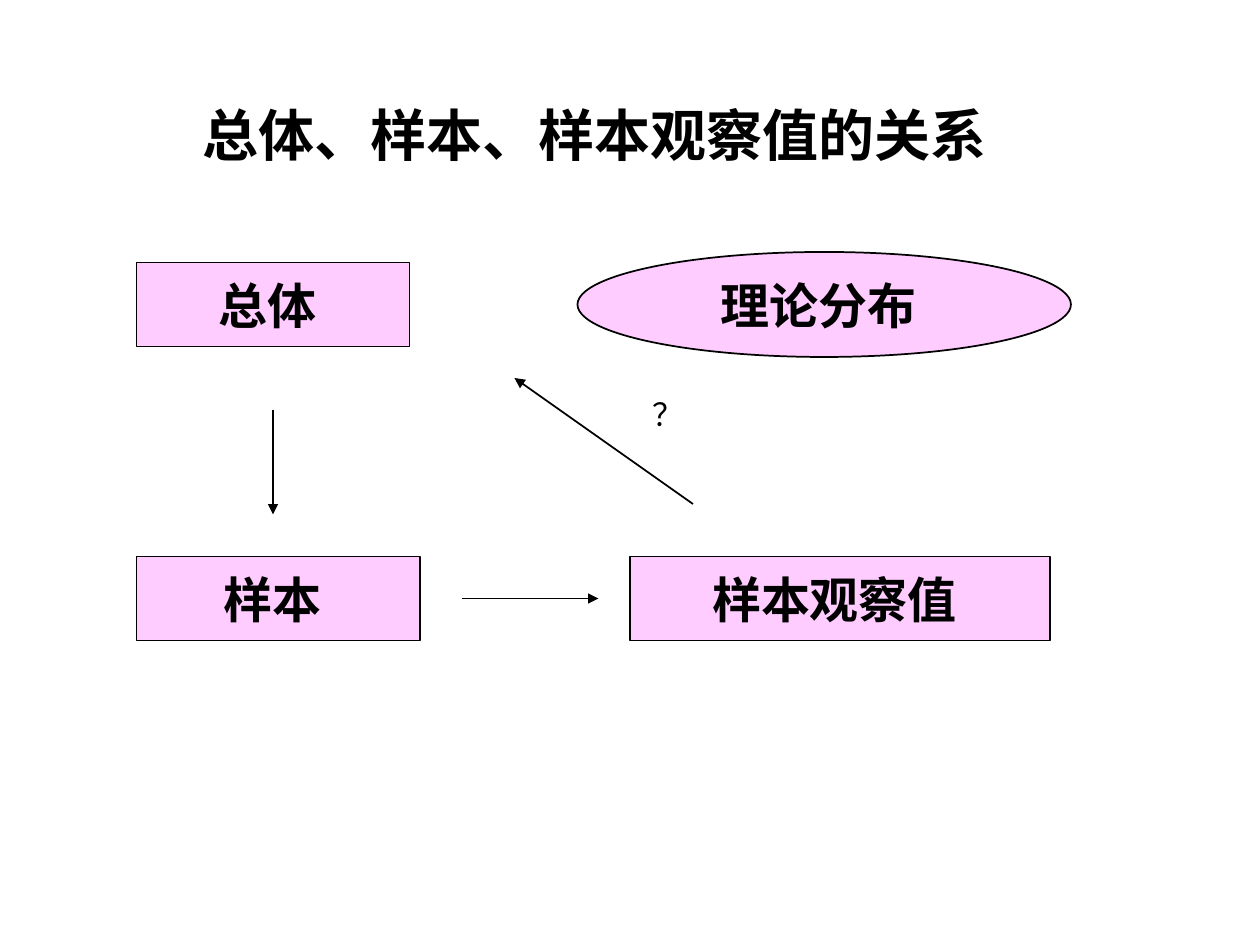
import pptx
import pptx.dml.color
import pptx.enum.shapes
import pptx.enum.text
import pptx.oxml.ns
import pptx.util
import lxml.etree

BLACK = pptx.dml.color.RGBColor(0x00, 0x00, 0x00)
PINK = pptx.dml.color.RGBColor(0xFF, 0xCC, 0xFF)
LATIN_FONT = "Times New Roman"
CHINESE_FONT = "Noto Sans CJK SC"

SLIDE_WIDTH = pptx.util.Inches(10)
SLIDE_HEIGHT = pptx.util.Inches(7.5)
COLUMNS = 120
CELL = SLIDE_WIDTH / COLUMNS

ALIGN = pptx.enum.text.PP_ALIGN
ANCHOR = pptx.enum.text.MSO_ANCHOR
SHAPE = pptx.enum.shapes.MSO_SHAPE

TITLE_BOX = (18.1, 9, 77.2, 7.7)
DIAGRAM_ORIGIN = (13, 24)

# Columns and rows counted from the diagram's top left corner.
NODES = [
    (SHAPE.RECTANGLE, (0, 1, 26, 8), "总体 "),
    (SHAPE.OVAL, (42, 0, 47, 10), "理论分布 "),
    (SHAPE.RECTANGLE, (0, 29, 27, 8), "样本 "),
    (SHAPE.RECTANGLE, (47, 29, 40, 8), "样本观察值 "),
]
ARROWS = [
    (13, 15, 13, 25),
    (31, 33, 44, 33),
    (53, 24, 36, 12),
]
QUESTION_BOX = (48, 13, 6, 6)


def cells(*counts):
    return [round(count * CELL) for count in counts]


def placed(origin, box):
    """Turn a box relative to an origin into slide lengths."""
    left, top, width, height = box
    return cells(origin[0] + left, origin[1] + top, width, height)


def write_text(shape, text, size, bold=True, font_name=LATIN_FONT,
               alignment=ALIGN.LEFT, anchor=ANCHOR.TOP):
    frame = shape.text_frame
    frame.text = text
    frame_format = {
        "word_wrap": False,
        "auto_size": pptx.enum.text.MSO_AUTO_SIZE.NONE,
        "vertical_anchor": anchor,
    }
    for name, value in frame_format.items():
        setattr(frame, name, value)
    paragraph = frame.paragraphs[0]
    paragraph.alignment = alignment
    run = paragraph.runs[0]
    run.font.color.rgb = BLACK
    font_format = {"name": font_name, "size": pptx.util.Pt(size), "bold": bold}
    for name, value in font_format.items():
        setattr(run.font, name, value)
    east_asian = lxml.etree.SubElement(
        run.font._element, pptx.oxml.ns.qn("a:ea"))
    east_asian.set("typeface", CHINESE_FONT)


def add_node(slide, kind, box, text):
    shape = slide.shapes.add_shape(kind, *box)
    shape.shadow.inherit = False
    shape.fill.solid()
    shape.fill.fore_color.rgb = PINK
    shape.line.color.rgb = BLACK
    shape.line.width = pptx.util.Pt(1)
    write_text(shape, text, 28, alignment=ALIGN.CENTER, anchor=ANCHOR.MIDDLE)


def add_arrow(slide, ends):
    connector = slide.shapes.add_connector(
        pptx.enum.shapes.MSO_CONNECTOR.STRAIGHT, *ends)
    connector.line.color.rgb = BLACK
    connector.line.width = pptx.util.Pt(1)
    qn = pptx.oxml.ns.qn
    line = connector.line._get_or_add_ln()
    lxml.etree.SubElement(line, qn("a:tailEnd")).set("type", "triangle")
    lxml.etree.SubElement(connector._element.spPr, qn("a:effectLst"))


def set_title(slide, box):
    title = slide.shapes.title
    for name, value in zip(("left", "top", "width", "height"), cells(*box)):
        setattr(title, name, value)
    write_text(title, "总体、样本、样本观察值的关系", 32)


def add_diagram(slide, origin):
    for kind, box, text in NODES:
        add_node(slide, kind, placed(origin, box), text)
    left, top = origin
    for start_x, start_y, end_x, end_y in ARROWS:
        add_arrow(slide, cells(left + start_x, top + start_y,
                               left + end_x, top + end_y))
    question = slide.shapes.add_textbox(*placed(origin, QUESTION_BOX))
    write_text(question, "？", 18, bold=False, font_name=CHINESE_FONT)


def main():
    presentation = pptx.Presentation()
    presentation.slide_width = SLIDE_WIDTH
    presentation.slide_height = SLIDE_HEIGHT
    slide = presentation.slides.add_slide(presentation.slide_layouts[5])
    set_title(slide, TITLE_BOX)
    add_diagram(slide, DIAGRAM_ORIGIN)
    presentation.save("out.pptx")


if __name__ == "__main__":
    main()
